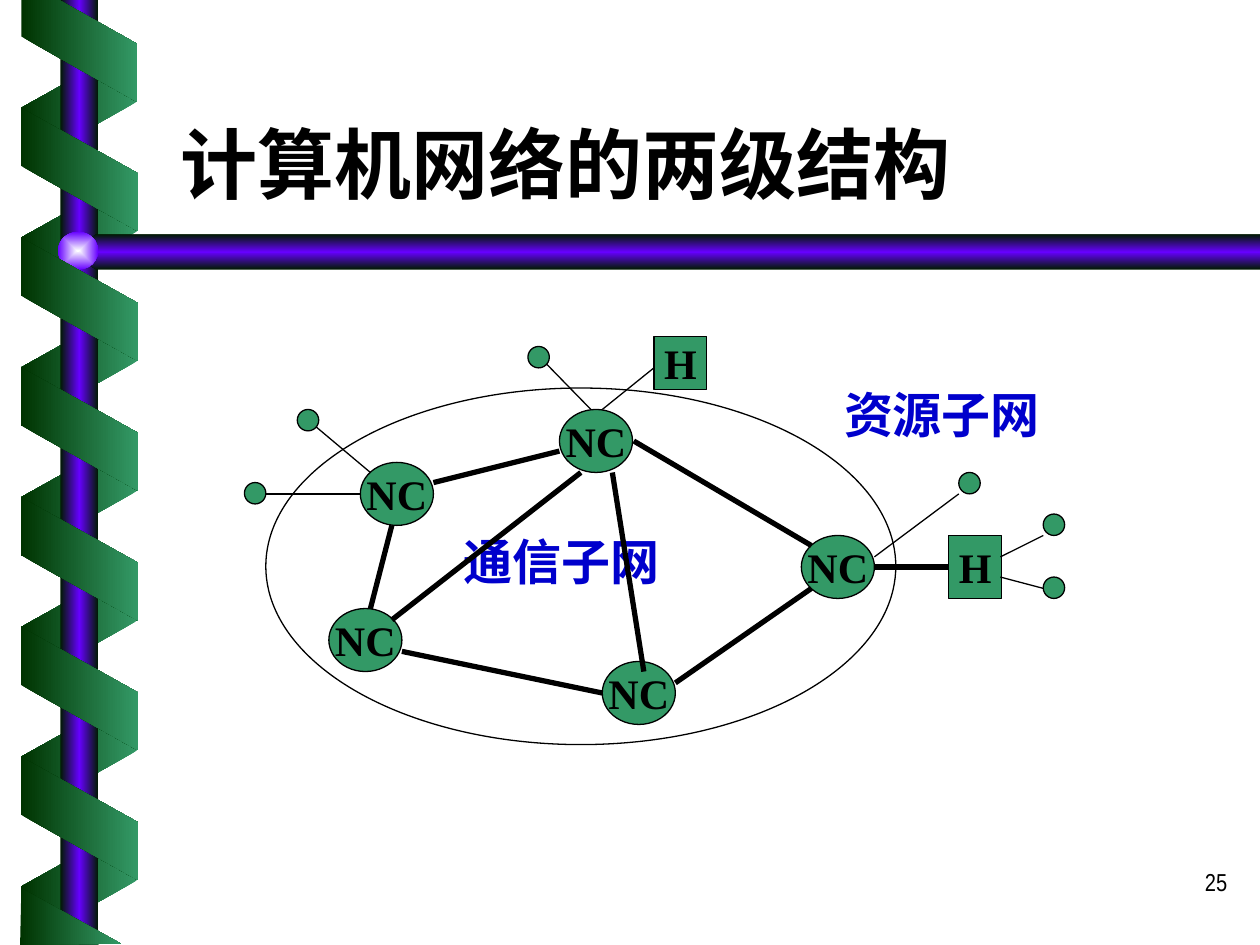
from lxml import etree
from pptx import Presentation
from pptx.dml.color import RGBColor
from pptx.enum.shapes import MSO_CONNECTOR, MSO_SHAPE
from pptx.enum.text import MSO_ANCHOR, MSO_AUTO_SIZE, PP_ALIGN
from pptx.oxml.ns import qn
from pptx.util import Inches, Pt

STRAIGHT = MSO_CONNECTOR.STRAIGHT
OVAL = MSO_SHAPE.OVAL
RECTANGLE = MSO_SHAPE.RECTANGLE
PARALLELOGRAM = MSO_SHAPE.PARALLELOGRAM
LEFT, CENTER, RIGHT = PP_ALIGN.LEFT, PP_ALIGN.CENTER, PP_ALIGN.RIGHT
TOP, MIDDLE, BOTTOM = MSO_ANCHOR.TOP, MSO_ANCHOR.MIDDLE, MSO_ANCHOR.BOTTOM
NO_AUTOFIT = MSO_AUTO_SIZE.NONE

BLACK = RGBColor(0x00, 0x00, 0x00)
GREEN = RGBColor(0x33, 0x99, 0x66)
DARK_GREEN = RGBColor(0x00, 0x33, 0x00)
NIGHT = RGBColor(0x00, 0x1A, 0x00)
VIOLET = RGBColor(0x66, 0x00, 0xFF)
GLOW = RGBColor(0xFE, 0xFF, 0xFF)
BLUE = RGBColor(0x00, 0x00, 0xCC)

SERIF = "Times New Roman"
NARROW = "Arial Narrow"
RIBBON_PITCH = 1.03
DOT = 0.17

NODES = [(2.61, 4.83), (2.86, 3.67), (4.78, 5.25), (6.36, 4.25), (4.44, 3.25)]
HOSTS = [(7.53, 4.25, 0.42, 0.5), (5.19, 2.67, 0.42, 0.42)]
TERMINALS = [(8.28, 4.08), (8.28, 4.58), (7.61, 3.75), (2.36, 3.25),
             (1.94, 3.83), (4.19, 2.75)]
TRUNKS = [
    (3.44, 3.83, 4.44, 3.58), (3.11, 4.17, 2.94, 4.83),
    (3.19, 5.17, 4.78, 5.5), (5.36, 5.42, 6.44, 4.67),
    (5.03, 3.5, 6.44, 4.33), (3.11, 4.92, 4.61, 3.75),
    (5.11, 5.33, 4.86, 3.75),
]
ACCESS_LINES = [
    (7.94, 4.42, 8.28, 4.25), (7.94, 4.58, 8.28, 4.67),
    (6.94, 4.42, 7.61, 3.92), (2.94, 3.75, 2.44, 3.33),
    (2.86, 3.92, 2.11, 3.92), (4.69, 3.25, 4.28, 2.83),
    (4.78, 3.25, 5.19, 2.92),
]


def set_gradient(sp, colors, angle=None):
    sp.fill.gradient()
    grad = sp._element.spPr.find(qn("a:gradFill"))
    grad.set("rotWithShape", "0")
    for child in list(grad):
        grad.remove(child)
    stops = etree.SubElement(grad, qn("a:gsLst"))
    for i, color in enumerate(colors):
        stop = etree.SubElement(stops, qn("a:gs"), pos=str(100000 * i // (len(colors) - 1)))
        etree.SubElement(stop, qn("a:srgbClr"), val=str(color))
    if angle is None:
        shade = etree.SubElement(grad, qn("a:path"), path="rect")
        etree.SubElement(shade, qn("a:fillToRect"), l="50000", t="50000", r="50000", b="50000")
    else:
        etree.SubElement(grad, qn("a:lin"), ang=str(angle * 60000), scaled="1")


def add_gradient_shape(slide, kind, box, colors, angle=None):
    sp = slide.shapes.add_shape(kind, *map(Inches, box))
    sp.shadow.inherit = False
    sp.line.fill.background()
    set_gradient(sp, colors, angle)
    return sp


def add_gradient_outline(slide, points, colors, angle):
    start, *rest = [(Inches(x), Inches(y)) for x, y in points]
    builder = slide.shapes.build_freeform(*start)
    builder.add_line_segments(rest, close=True)
    sp = builder.convert_to_shape()
    sp.shadow.inherit = False
    sp.line.fill.background()
    set_gradient(sp, colors, angle)


def add_ribbon(slide, top, height, count, rotation, colors, flipped):
    for i in range(count):
        box = (0.14, top + RIBBON_PITCH * i, 0.98, height)
        sp = add_gradient_shape(slide, PARALLELOGRAM, box, colors, 0)
        sp.adjustments[0] = 0.56
        sp.rotation = rotation
        if flipped:
            sp._element.spPr.find(qn("a:xfrm")).set("flipH", "1")


def write_text(tf, text, size, font, color, align, anchor, bold=True):
    tf.auto_size = NO_AUTOFIT
    tf.vertical_anchor = anchor
    p = tf.paragraphs[0]
    p.alignment = align
    r = p.add_run()
    r.text = text
    r.font.size = Pt(size)
    r.font.name = font
    r.font.bold = bold
    r.font.color.rgb = color


def add_label(slide, box, text, size, font, color, align, inset, bold):
    tf = slide.shapes.add_textbox(*map(Inches, box)).text_frame
    tf.word_wrap = True
    tf.margin_left = tf.margin_right = Inches(inset)
    write_text(tf, text, size, font, color, align, TOP, bold)


def add_station(slide, kind, box, text=None, color=GREEN):
    sp = slide.shapes.add_shape(kind, *map(Inches, box))
    sp.shadow.inherit = False
    if color is None:
        sp.fill.background()
    else:
        sp.fill.solid()
        sp.fill.fore_color.rgb = color
    sp.line.color.rgb = BLACK
    sp.line.width = Pt(0.75)
    if text:
        sp.text_frame.word_wrap = False
        write_text(sp.text_frame, text, 24, SERIF, BLACK, CENTER, MIDDLE)
    return sp


def add_link(slide, ends, width):
    line = slide.shapes.add_connector(STRAIGHT, *map(Inches, ends))
    line.line.color.rgb = BLACK
    line.line.width = Pt(width)
    etree.SubElement(line._element.spPr, qn("a:effectLst"))
    return line


def add_decoration(slide):
    tube = [NIGHT, VIOLET, NIGHT]
    ribbon = [DARK_GREEN, GREEN]
    add_ribbon(slide, 0.37, 0.92, 7, 90, ribbon[::-1], True)
    add_gradient_shape(slide, RECTANGLE, (0.48, 0, 0.3, 7.5), tube, 0)
    bar = [(10, 1.86), (0.76, 1.86), (0.6, 2), (0.76, 2.14), (10, 2.14)]
    add_gradient_outline(slide, bar, tube, 90)
    add_gradient_shape(slide, OVAL, (0.46, 1.84, 0.32, 0.3), [GLOW, VIOLET])
    add_ribbon(slide, 0.88, 0.93, 6, 270, ribbon, False)
    ribbon_start = [(0.17, 0), (0.17, 0.29), (1.09, 0.81), (1.09, 0.35), (0.47, 0)]
    ribbon_end = [(0.96, 7.49), (0.17, 7.05), (0.16, 7.5)]
    for points in (ribbon_start, ribbon_end):
        add_gradient_outline(slide, points, ribbon, 0)


def add_network(slide):
    add_station(slide, OVAL, (2.11, 3.08, 5, 2.83), color=None)
    for x, y in NODES:
        add_station(slide, OVAL, (x, y, 0.58, 0.5), "NC")
    for ends in TRUNKS:
        add_link(slide, ends, 3)
    hosts = [add_station(slide, RECTANGLE, box, "H") for box in HOSTS]
    add_link(slide, (6.94, 4.5, 7.53, 4.5), 3).end_connect(hosts[0], 1)
    for ends in ACCESS_LINES:
        add_link(slide, ends, 0.75)
    for x, y in TERMINALS:
        add_station(slide, OVAL, (x, y, DOT, DOT))


def main():
    prs = Presentation()
    prs.slide_width, prs.slide_height = Inches(10), Inches(7.5)
    slide = prs.slides.add_slide(prs.slide_layouts[5])
    add_decoration(slide)

    title = slide.shapes.title
    title.left, title.top = Inches(1.33), Inches(0.46)
    title.width, title.height = Inches(8.5), Inches(1.25)
    write_text(title.text_frame, "计算机网络的两级结构", 44, SERIF, BLACK, LEFT, BOTTOM)

    add_label(slide, (7.76, 6.83, 2.08, 0.5), "25", 14, NARROW, BLACK, RIGHT, 0.1, False)
    add_label(slide, (3.58, 4.17, 1.75, 0.49), "通信子网", 28, SERIF, BLUE, CENTER, 0, True)
    add_label(slide, (6.58, 3, 1.79, 0.49), "资源子网", 28, SERIF, BLUE, CENTER, 0, True)
    add_network(slide)
    prs.save("out.pptx")


if __name__ == "__main__":
    main()
